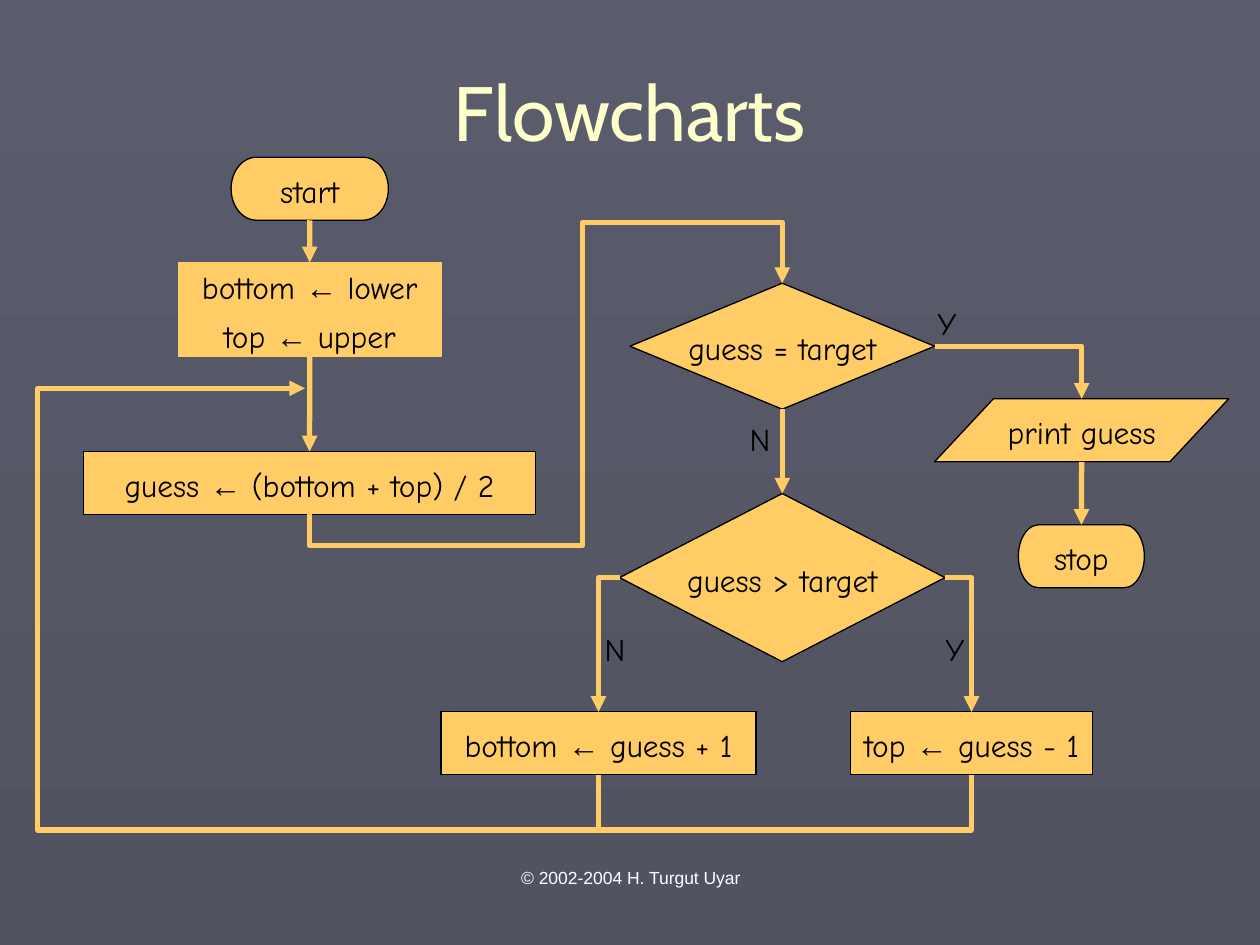
from lxml import etree
from pptx import Presentation
from pptx.dml.color import RGBColor
from pptx.enum.shapes import MSO_CONNECTOR, MSO_SHAPE
from pptx.enum.text import MSO_ANCHOR, MSO_AUTO_SIZE, PP_ALIGN
from pptx.oxml.ns import qn
from pptx.util import Cm, Pt

STRAIGHT, ELBOW = MSO_CONNECTOR.STRAIGHT, MSO_CONNECTOR.ELBOW
TERMINATOR = MSO_SHAPE.FLOWCHART_TERMINATOR
PROCESS = MSO_SHAPE.FLOWCHART_PROCESS
DECISION = MSO_SHAPE.FLOWCHART_DECISION
OUTPUT = MSO_SHAPE.FLOWCHART_DATA
CENTER, MIDDLE = PP_ALIGN.CENTER, MSO_ANCHOR.MIDDLE
TOP, LEFT, BOTTOM, RIGHT = range(4)

COLORS = {"bg_top": "5A5C6C", "bg_bottom": "515361", "title": "FFFFCC",
          "node": "FFCC66", "ink": "000000", "footer": "FFFFFF"}
TEXT_FONT, ARROW_FONT, TITLE_FONT = "Comic Neue", "Arial", "Cabin"


def rgb(name):
    return RGBColor.from_string(COLORS[name])


def set_font(font, name, size, color):
    font.name, font.size = name, Pt(size)
    font.color.rgb = rgb(color)


def write(tf, lines):
    """Centred lines; the assignment arrow has its own font."""
    tf.word_wrap = False
    tf.vertical_anchor = MIDDLE
    for i, line in enumerate(lines):
        p = tf.paragraphs[0] if i == 0 else tf.add_paragraph()
        p.alignment, p.line_spacing = CENTER, 1.1
        if i:
            p.space_before = Pt(4.5)
        set_font(p.font, TEXT_FONT, 18, "ink")
        before, arrow, after = line.partition("←")
        for part in filter(None, (before, arrow, after)):
            r = p.add_run()
            r.text = part
            if part == "←":
                r.font.name = ARROW_FONT


def node(slide, box, kind, x, y, w, h, *lines, line="ink"):
    sp = slide.shapes.add_shape(kind, Cm(box[0] + x), Cm(box[1] + y), Cm(w), Cm(h))
    sp.shadow.inherit = False
    sp.fill.solid()
    sp.fill.fore_color.rgb = rgb("node")
    sp.line.color.rgb = rgb(line)
    sp.line.width = Pt(0.75)
    write(sp.text_frame, lines)
    return sp


def label(slide, box, x, y, text):
    sp = slide.shapes.add_textbox(Cm(box[0] + x), Cm(box[1] + y), Cm(0.9), Cm(1.09))
    write(sp.text_frame, [text])
    sp.text_frame.auto_size = MSO_AUTO_SIZE.SHAPE_TO_FIT_TEXT


def side(sp, index):
    """Middle of one side of a shape."""
    dx, dy = ((1, 0), (0, 1), (1, 2), (2, 1))[index]
    return sp.left + sp.width * dx // 2, sp.top + sp.height * dy // 2


def connector(slide, kind, start, end, arrow=True):
    cxn = slide.shapes.add_connector(kind, *start, *end)
    cxn.line.color.rgb = rgb("node")
    cxn.line.width = Pt(3)
    if arrow:
        etree.SubElement(cxn.line._get_or_add_ln(), qn("a:tailEnd"), type="triangle")
    etree.SubElement(cxn._element.spPr, qn("a:effectLst"))
    return cxn


def down(slide, upper, lower):
    """Straight arrow from the bottom of one node to the top of the next."""
    cxn = connector(slide, STRAIGHT, side(upper, BOTTOM), side(lower, TOP))
    if upper.auto_shape_type != OUTPUT:
        cxn.begin_connect(upper, BOTTOM)
    cxn.end_connect(lower, TOP)


def elbow(slide, start, end, preset, rot=0, flips="", adjust=()):
    cxn = connector(slide, ELBOW, start, end)
    w, h = abs(end[0] - start[0]), abs(end[1] - start[1])
    if rot in (90, 270):
        w, h = h, w
    cxn.left = (start[0] + end[0] - w) // 2
    cxn.top = (start[1] + end[1] - h) // 2
    cxn.width, cxn.height = w, h
    xfrm = cxn._element.spPr.find(qn("a:xfrm"))
    xfrm.set("rot", str(rot * 60000))
    xfrm.set("flipH", str(int("h" in flips)))
    xfrm.set("flipV", str(int("v" in flips)))
    geom = cxn._element.spPr.find(qn("a:prstGeom"))
    geom.set("prst", preset)
    guides = geom.find(qn("a:avLst"))
    for i, value in enumerate(adjust, 1):
        etree.SubElement(guides, qn("a:gd"), name=f"adj{i}",
                         fmla=f"val {round(value * 100000)}")


def add_title(slide, box):
    sp = slide.shapes.title
    sp.left, sp.top, sp.width, sp.height = map(Cm, box)
    sp.text_frame.text = "Flowcharts"
    sp.text_frame.vertical_anchor = MIDDLE
    p = sp.text_frame.paragraphs[0]
    p.alignment = CENTER
    set_font(p.font, TITLE_FONT, 44, "title")


def add_setup(slide, box):
    """Start, initial bounds and the first guess."""
    start = node(slide, box, TERMINATOR, 2.97, 0, 3.17, 1.27, "start")
    bounds = node(slide, box, PROCESS, 1.91, 2.12, 5.29, 1.9,
                  "bottom ← lower", "top ← upper", line="node")
    guess = node(slide, box, PROCESS, 0, 5.93, 9.1, 1.27,
                 "guess ← (bottom + top) / 2")
    down(slide, start, bounds)
    down(slide, bounds, guess)
    return guess


def add_tests(slide, box):
    """The two comparisons."""
    equal = node(slide, box, DECISION, 0.21, 0, 6.14, 2.54, "guess = target")
    greater = node(slide, box, DECISION, 0, 4.24, 6.56, 3.39, "guess > target")
    label(slide, box, 2.37, 2.55, "N")
    down(slide, equal, greater)
    return equal, greater


def add_result(slide, box, equal):
    """Print the answer and stop."""
    output = node(slide, box, OUTPUT, 0, 2.12, 5.93, 1.27, "print guess")
    stop = node(slide, box, TERMINATOR, 1.69, 4.66, 2.54, 1.27, "stop")
    down(slide, output, stop)
    label(slide, box, -0.2, 0, "Y")
    elbow(slide, side(equal, RIGHT), side(output, TOP), "bentConnector2")


def add_updates(slide, box, greater):
    """Move one bound, then loop back."""
    bottom = node(slide, box, PROCESS, 0, 1.85, 6.35, 1.27, "bottom ← guess + 1")
    top = node(slide, box, PROCESS, 8.26, 1.85, 4.87, 1.27, "top ← guess - 1")
    label(slide, box, 3.05, 0, "N")
    label(slide, box, 9.91, 0, "Y")
    elbow(slide, side(greater, LEFT), side(bottom, TOP), "bentConnector2", 180, "v")
    elbow(slide, side(greater, RIGHT), side(top, TOP), "bentConnector2")
    elbow(slide, side(top, BOTTOM), (Cm(6.15), Cm(7.83)), "bentConnector4",
          270, "v", (-0.143, 1.401))
    x, y = side(bottom, BOTTOM)
    stub = connector(slide, STRAIGHT, (x, y), (x, y + Cm(1.1)), arrow=False)
    stub.begin_connect(bottom, BOTTOM)


def add_footer(slide, box):
    tf = slide.shapes.add_textbox(*map(Cm, box)).text_frame
    tf.word_wrap = True
    tf.text = "© 2002-2004 H. Turgut Uyar"
    p = tf.paragraphs[0]
    p.alignment = CENTER
    set_font(p.font, "Arial", 10, "footer")


def main():
    prs = Presentation()
    prs.slide_width, prs.slide_height = Cm(25.4), Cm(19.05)
    slide = prs.slides.add_slide(prs.slide_layouts[5])

    # Background
    fill = slide.background.fill
    fill.gradient()
    fill.gradient_angle = 270
    for stop, name in zip(fill.gradient_stops, ("bg_top", "bg_bottom")):
        stop.color.rgb = rgb(name)

    # Title, flowchart, footer
    add_title(slide, (0.85, 0.64, 23.7, 3.17))
    guess = add_setup(slide, (1.69, 3.17))
    equal, greater = add_tests(slide, (12.49, 5.71))
    elbow(slide, side(guess, BOTTOM), side(equal, TOP), "bentConnector5",
          90, "hv", (-0.136, 0.578, 1.264))
    add_result(slide, (18.84, 5.92), equal)
    add_updates(slide, (8.89, 12.5), greater)
    add_footer(slide, (8.69, 17.35, 8.05, 1.32))
    prs.save("out.pptx")


if __name__ == "__main__":
    main()
